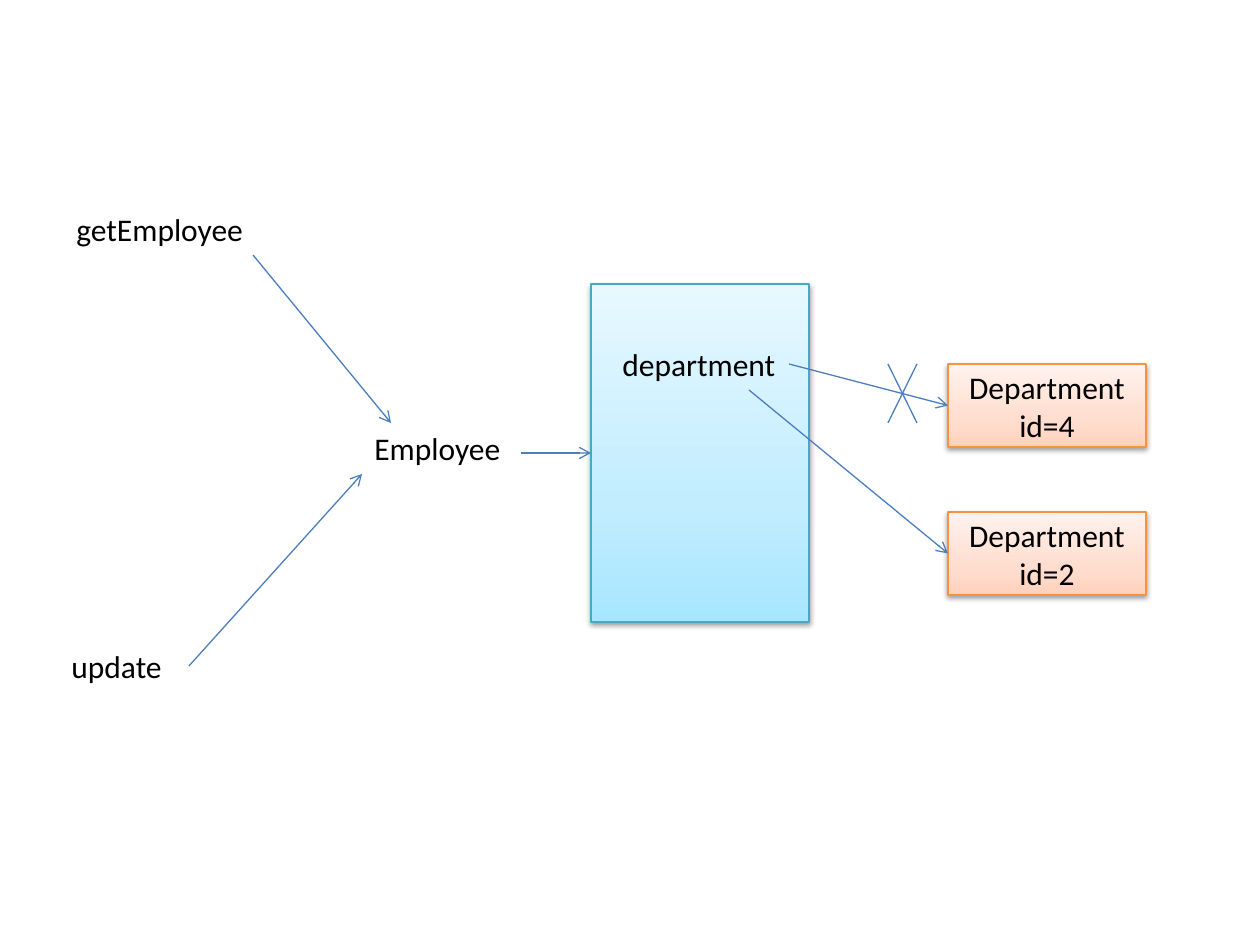
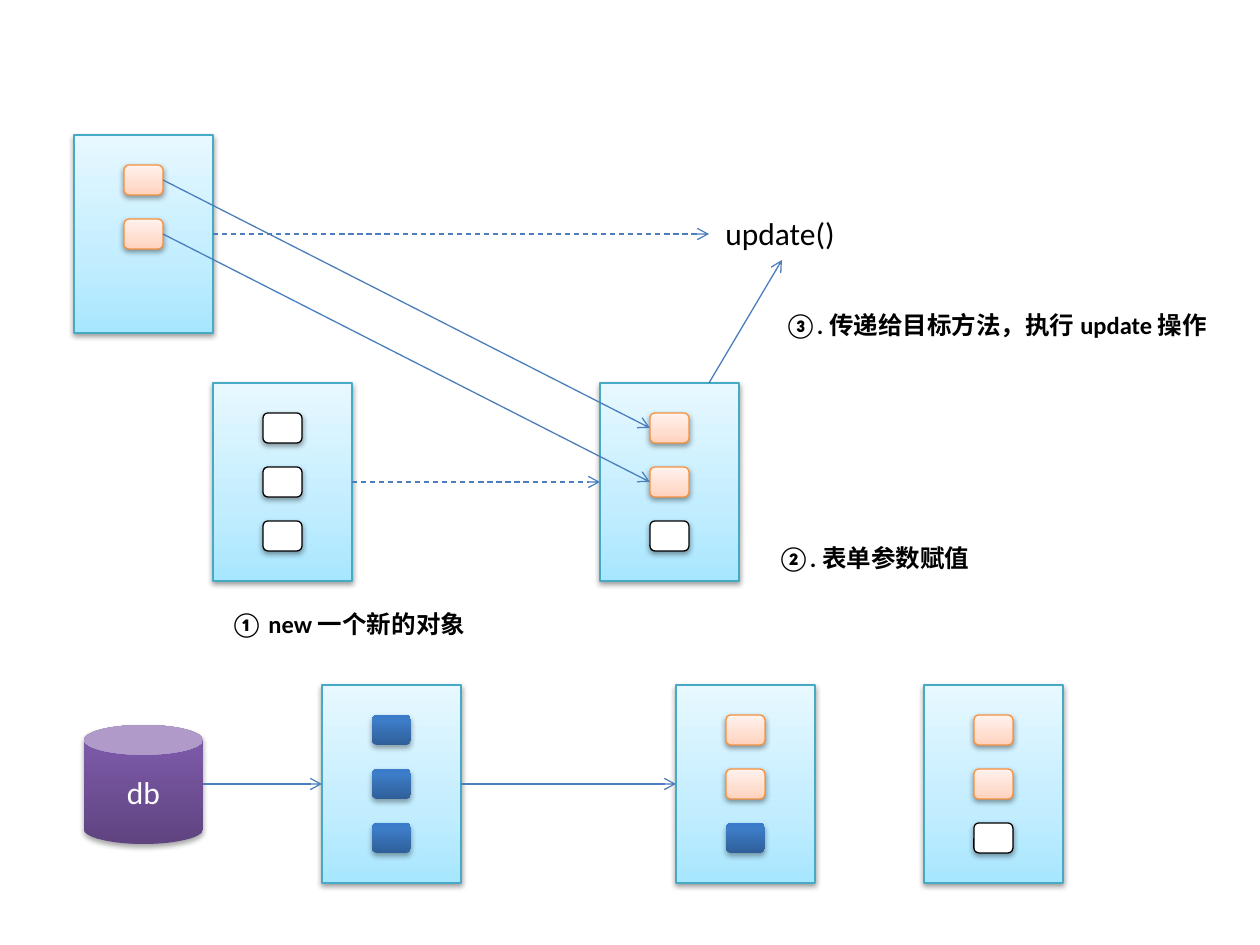
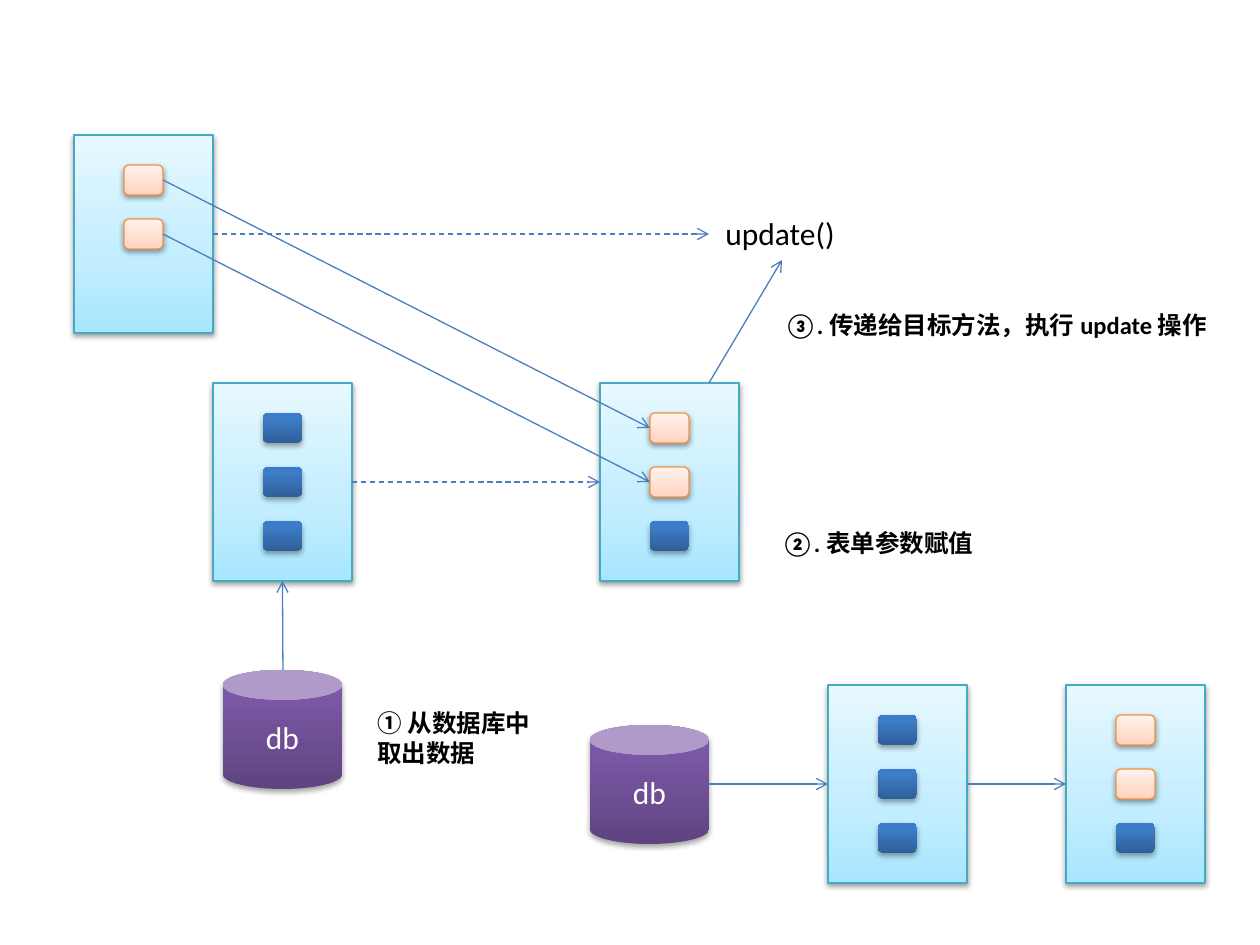
import copy
from collections import namedtuple

from lxml import etree
from pptx import Presentation, util as u
from pptx.dml.color import RGBColor
from pptx.enum import dml, shapes, text
from pptx.oxml import ns

PX = 914400 // 126  # one scale for all lengths

BLACK = RGBColor(0x00, 0x00, 0x00)
WHITE = RGBColor(0xFF, 0xFF, 0xFF)
ARROW_BLUE = RGBColor(0x4B, 0x7E, 0xBC)
AQUA_LINE = RGBColor(0x46, 0xAA, 0xC5)
AQUA_DARK = RGBColor(0xA7, 0xE6, 0xFF)
AQUA_MID = RGBColor(0xC1, 0xED, 0xFF)
AQUA_LIGHT = RGBColor(0xE7, 0xF8, 0xFF)
ORANGE_LINE = RGBColor(0xF6, 0x92, 0x40)
ORANGE_DARK = RGBColor(0xFF, 0xD2, 0xBD)
ORANGE_MID = RGBColor(0xFF, 0xDE, 0xD0)
ORANGE_LIGHT = RGBColor(0xFF, 0xF2, 0xED)
BLUE_DARK = RGBColor(0x2F, 0x5F, 0x99)
BLUE_MID = RGBColor(0x3D, 0x7C, 0xC7)
BLUE_LIGHT = RGBColor(0x3A, 0x7C, 0xCB)
PURPLE_DARK = RGBColor(0x5F, 0x44, 0x80)
PURPLE_MID = RGBColor(0x7B, 0x58, 0xA6)
PURPLE_LIGHT = RGBColor(0x7C, 0x57, 0xA8)

# Gradient stops run from bottom to top; a single stop is a plain fill
Look = namedtuple("Look", "stops line font shadow_alpha shadow_distance")
OBJECT = Look([(0, AQUA_DARK), (0.35, AQUA_MID), (1, AQUA_LIGHT)], AQUA_LINE, BLACK, 38000, 20000)
FORM = Look([(0, ORANGE_DARK), (0.35, ORANGE_MID), (1, ORANGE_LIGHT)], ORANGE_LINE, BLACK, 38000, 20000)
EMPTY = Look([(0, WHITE)], BLACK, BLACK, 38000, 20000)
STORED = Look([(0, BLUE_DARK), (0.8, BLUE_MID), (1, BLUE_LIGHT)], None, WHITE, 35000, 23000)
DATABASE = Look([(0, PURPLE_DARK), (0.8, PURPLE_MID), (1, PURPLE_LIGHT)], None, WHITE, 35000, 23000)

CARD_W, CARD_H = 139, 198
FIELD_W, FIELD_H, FIELD_STEP = 39, 30, 54
DB_SIZE = 119
TOP, LEFT, BOTTOM, RIGHT = range(4)
RECTANGLE = shapes.MSO_SHAPE.RECTANGLE
ROUNDED = shapes.MSO_SHAPE.ROUNDED_RECTANGLE


class Deck:
    font = "Calibri"
    line_width = u.Pt(0.75)

    def __init__(self):
        self.presentation = Presentation()
        self.presentation.slide_width = u.Inches(10)
        self.presentation.slide_height = u.Inches(7.5)
        self.slide = None

    def new_slide(self):
        self.slide = self.presentation.slides.add_slide(self.presentation.slide_layouts[6])

    def set_text(self, shape, words, color=BLACK, size=18, bold=False, align=None):
        shape.text_frame.text = words
        shape.text_frame.word_wrap = True
        for paragraph in shape.text_frame.paragraphs:
            paragraph.alignment = align
            for run in paragraph.runs:
                run.font.name, run.font.size = self.font, u.Pt(size)
                run.font.bold, run.font.color.rgb = bold, color

    def label(self, words, x, y, w, h=50, size=18, bold=False):
        box = self.slide.shapes.add_textbox(x * PX, y * PX, w * PX, h * PX)
        self.set_text(box, words, size=size, bold=bold)
        box.text_frame.auto_size = text.MSO_AUTO_SIZE.SHAPE_TO_FIT_TEXT

    def note(self, words, x, y, w, h=43):
        self.label(words, x, y, w, h, size=14, bold=True)

    def box(self, kind, look, x, y, w, h, words=""):
        shape = self.slide.shapes.add_shape(kind, x * PX, y * PX, w * PX, h * PX)
        self.paint(shape, look)
        if words:
            self.set_text(shape, words, look.font, align=text.PP_ALIGN.CENTER)
            shape.text_frame.vertical_anchor = text.MSO_ANCHOR.MIDDLE
        return shape

    def paint(self, shape, look):
        if len(look.stops) == 1:
            shape.fill.solid()
            shape.fill.fore_color.rgb = look.stops[0][1]
        else:
            shape.fill.gradient()
            shape.fill.gradient_angle = 90
            stop_list = shape._element.xpath(".//a:gsLst")[0]
            stop_list.append(copy.deepcopy(stop_list[-1]))
            for stop, (position, color) in zip(shape.fill.gradient_stops, look.stops):
                stop.position, stop.color.rgb = position, color
        if look.line is None:
            shape.line.fill.background()
        else:
            shape.line.color.rgb, shape.line.width = look.line, self.line_width
        # Soft shadow straight below
        shape.shadow.inherit = False
        effects = shape._element.spPr.find(ns.qn("a:effectLst"))
        shadow = etree.SubElement(effects, ns.qn("a:outerShdw"), blurRad="40000",
                                  dist=str(look.shadow_distance), dir="5400000", rotWithShape="0")
        tint = etree.SubElement(shadow, ns.qn("a:srgbClr"), val=str(BLACK))
        etree.SubElement(tint, ns.qn("a:alpha"), val=str(look.shadow_alpha))

    def line(self, start, end, dashed=False, arrow=True):
        """Each end is (x, y) in px, or (shape, side) to join it."""
        connector = self.slide.shapes.add_connector(shapes.MSO_CONNECTOR.STRAIGHT, 0, 0, 0, 0)
        if isinstance(start[0], int):
            connector.begin_x, connector.begin_y = start[0] * PX, start[1] * PX
        else:
            connector.begin_connect(*start)
        if isinstance(end[0], int):
            connector.end_x, connector.end_y = end[0] * PX, end[1] * PX
        else:
            connector.end_connect(*end)
        connector.line.color.rgb, connector.line.width = ARROW_BLUE, self.line_width
        if dashed:
            connector.line.dash_style = dml.MSO_LINE.DASH
        properties = connector._element.spPr
        if arrow:
            etree.SubElement(properties.find(ns.qn("a:ln")), ns.qn("a:tailEnd"), type="arrow")
        etree.SubElement(properties, ns.qn("a:effectLst"))

    def card(self, x, y, *looks):
        """An object with its fields stacked inside."""
        card = self.box(RECTANGLE, OBJECT, x, y, CARD_W, CARD_H)
        field_x = x + (CARD_W - FIELD_W) // 2
        field_y = y + (CARD_H - FIELD_H) // 2 - FIELD_STEP
        fields = [self.box(ROUNDED, look, field_x, field_y + row * FIELD_STEP, FIELD_W, FIELD_H)
                  for row, look in enumerate(looks)]
        return card, fields

    def database(self, x, y):
        self.box(shapes.MSO_SHAPE.CAN, DATABASE, x, y, DB_SIZE, DB_SIZE, "db")


def reference_slide(deck):
    deck.new_slide()
    deck.label("getEmployee", 64, 204, 258)
    deck.label("update", 59, 641, 258)
    deck.label("Employee", 362, 423, 228)
    deck.line((253, 255), (391, 423))
    deck.line((189, 666), (362, 474))

    # Employee object and the departments it points to
    employee = deck.box(RECTANGLE, OBJECT, 591, 284, 218, 338)
    deck.label("department", 610, 339, 179)
    deck.line((521, 453), (employee, LEFT))
    for number, y, start in ((4, 364, (789, 364)), (2, 512, (749, 390))):
        department = deck.box(RECTANGLE, FORM, 948, y, 198, 83, f"Department\nid={number}")
        deck.line(start, (department, LEFT))

    # Cross over the dropped reference
    deck.line((917, 364), (888, 423), arrow=False)
    deck.line((888, 364), (917, 423), arrow=False)


def binding_flow(deck, initial):
    """Form values laid over an object whose fields start with one look."""
    deck.new_slide()
    request, sent = deck.card(74, 135, FORM, FORM)
    source, _ = deck.card(213, 383, initial, initial, initial)
    target, received = deck.card(600, 383, FORM, FORM, initial)
    deck.label("update()", 713, 208, 139)
    deck.note("③. 传递给目标方法，执行 update 操作", 772, 304, 452)
    deck.line((request, RIGHT), (709, 234), dashed=True)
    deck.line((source, RIGHT), (target, LEFT), dashed=True)
    for value, field in zip(sent, received):
        deck.line((value, RIGHT), (field, LEFT))
    deck.line((709, 383), (782, 260))
    return source


def stored_flow(deck, database_x, loaded_x, updated_x):
    """Bottom row: database, loaded object, updated object."""
    deck.database(database_x, 725)
    loaded, _ = deck.card(loaded_x, 685, STORED, STORED, STORED)
    updated, _ = deck.card(updated_x, 685, FORM, FORM, STORED)
    deck.line((database_x + DB_SIZE, 784), (loaded, LEFT))
    deck.line((loaded, RIGHT), (updated, LEFT))


def new_object_slide(deck):
    binding_flow(deck, EMPTY)
    deck.note("① new 一个新的对象", 218, 603, 268)
    deck.note("②. 表单参数赋值", 765, 537, 228)
    stored_flow(deck, 84, 322, 676)
    deck.card(924, 685, FORM, FORM, EMPTY)


def loaded_object_slide(deck):
    source = binding_flow(deck, STORED)
    deck.database(223, 670)
    deck.line((283, 670), (source, BOTTOM))
    deck.note("① 从数据库中取出数据", 365, 702, 198, 72)
    deck.note("②. 表单参数赋值", 769, 522, 228)
    stored_flow(deck, 590, 828, 1066)


def main():
    deck = Deck()
    reference_slide(deck)
    new_object_slide(deck)
    loaded_object_slide(deck)
    deck.presentation.save("out.pptx")


if __name__ == "__main__":
    main()
